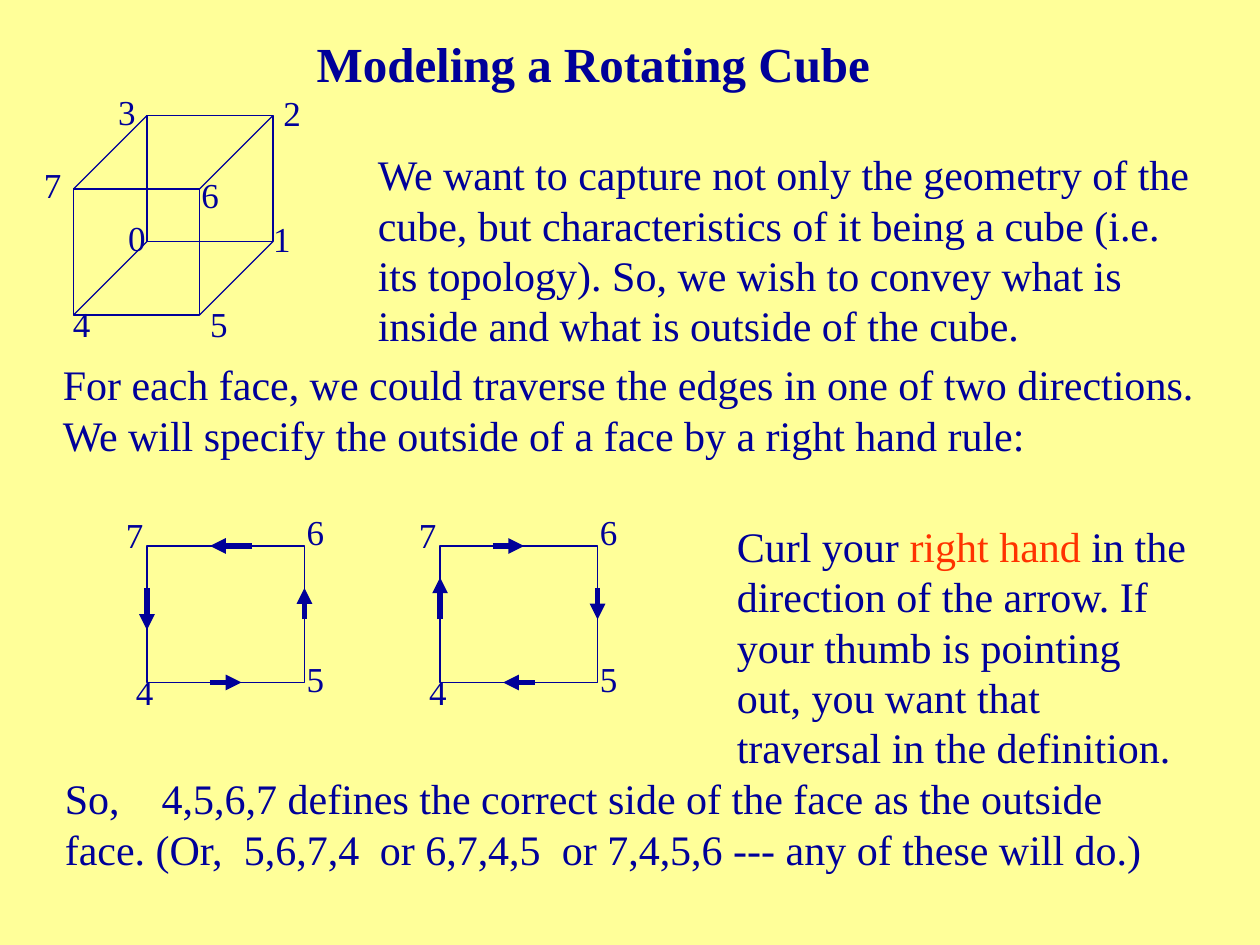
from lxml.etree import SubElement
from pptx import Presentation
from pptx.dml.color import RGBColor
from pptx.enum.shapes import MSO_CONNECTOR as CONN, MSO_SHAPE as SHAPE
from pptx.enum.text import MSO_ANCHOR as ANCHOR, MSO_AUTO_SIZE as AUTO, PP_ALIGN as ALIGN
from pptx.oxml.ns import qn
from pptx.util import Pt

# Content
FONT, NAVY, RED, YELLOW = "Times New Roman", "000099", "FF3300", "FFFF99"
TITLE = "Modeling a Rotating Cube"

# Text blocks: box, tab stops, paragraphs of (text, colour) runs
BLOCKS = [
    ((208.8, 81.4, 487.4, 122.4), [], [[(
        "We want to capture not only the geometry of the cube, but characteristics "
        "of it being a cube (i.e. its topology). So, we wish to convey what is "
        "inside and what is outside of the cube.", NAVY)]]),
    ((28.8, 201.6, 661, 64.8), [], [
        [("For each face, we could traverse the edges in one of two directions.", NAVY)],
        [("We will specify the outside of a face by a right hand rule:", NAVY)]]),
    ((414, 293.8, 275.8, 151.2), [], [[
        ("Curl your ", NAVY), ("right hand ", RED),
        ("in the direction of the arrow. If your thumb is pointing out, "
         "you want that traversal in the definition.", NAVY)]]),
    ((30, 438, 654, 64.8), [55.3, 102.3, 180, 284], [[(
        "So,\t4,5,6,7 defines the correct side of the face as the outside face. "
        "(Or,\t5,6,7,4\tor 6,7,4,5\tor 7,4,5,6 --- any of these will do.)", NAVY)]]),
]

# Cube: back square, shift to the front square, label positions
CUBE_X, CUBE_Y, CUBE_SIDE, CUBE_SHIFT = 84, 66, 72, 42
CUBE_LABELS = [("0", 66.2, 120), ("1", 149, 121), ("2", 154.8, 49), ("3", 60.5, 48.2),
               ("4", 34.6, 169.2), ("5", 113, 169.2), ("6", 108, 95.8), ("7", 18, 90)]

# Faces: labels and arrows are relative to the top left corner of each face
FACE_Y, FACE_W, FACE_H = 312, 90, 78
FACE_LABELS = [("6", 84.2, -24), ("7", -19.2, -22.3), ("4", -13.4, 67.5), ("5", 84.2, 60.3)]
FACES = [
    (84, [(60, 0, 36, 0), (0, 24, 0, 48), (36, FACE_H, 54, FACE_H), (FACE_W, 42, FACE_W, 24)]),
    (251.5, [(0, 42, 0, 18), (30, 0, 48, 0), (FACE_W, 24, FACE_W, 42), (54, FACE_H, 36, FACE_H)]),
]


# Helpers
def rgb(code):
    return RGBColor.from_string(code)


def add_run(p, text, size, color=NAVY, bold=False):
    r = p.add_run()
    r.text = text
    r.font.name, r.font.size, r.font.bold = FONT, Pt(size), bold
    r.font.color.rgb = rgb(color)


def add_label(shapes, text, x, y):
    tf = shapes.add_textbox(Pt(x), Pt(y), Pt(24.5), Pt(31.7)).text_frame
    tf.word_wrap, tf.auto_size = False, AUTO.SHAPE_TO_FIT_TEXT
    add_run(tf.paragraphs[0], text, 20)


def add_square(shapes, x, y, w, h):
    sp = shapes.add_shape(SHAPE.RECTANGLE, Pt(x), Pt(y), Pt(w), Pt(h))
    sp.shadow.inherit = False
    sp.fill.background()
    sp.line.color.rgb, sp.line.width = rgb(NAVY), Pt(0.75)


def add_line(shapes, x1, y1, x2, y2, width=0.75, arrow=False):
    line = shapes.add_connector(CONN.STRAIGHT, Pt(x1), Pt(y1), Pt(x2), Pt(y2))
    line.line.color.rgb, line.line.width = rgb(NAVY), Pt(width)
    if arrow:
        SubElement(line.line._get_or_add_ln(), qn("a:tailEnd"), type="triangle")
    SubElement(line._element.spPr, qn("a:effectLst"))


def add_block(shapes, box, tabs, paragraphs):
    tf = shapes.add_textbox(*map(Pt, box)).text_frame
    tf.word_wrap, tf.auto_size = True, AUTO.SHAPE_TO_FIT_TEXT
    for i, runs in enumerate(paragraphs):
        p = tf.add_paragraph() if i else tf.paragraphs[0]
        if tabs:
            tab_list = SubElement(p._p.get_or_add_pPr(), qn("a:tabLst"))
            for pos in tabs:
                SubElement(tab_list, qn("a:tab"), pos=str(int(Pt(pos))), algn="l")
        for text, color in runs:
            add_run(p, text, 24, color)


def add_cube(shapes):
    front_x, front_y = CUBE_X - CUBE_SHIFT, CUBE_Y + CUBE_SHIFT
    for x, y in [(CUBE_X, CUBE_Y), (front_x, front_y)]:
        add_square(shapes, x, y, CUBE_SIDE, CUBE_SIDE)
    for dx in (0, CUBE_SIDE):
        for dy in (0, CUBE_SIDE):
            add_line(shapes, front_x + dx, front_y + dy, CUBE_X + dx, CUBE_Y + dy)
    for label in CUBE_LABELS:
        add_label(shapes, *label)


def add_face(shapes, x, arrows):
    add_square(shapes, x, FACE_Y, FACE_W, FACE_H)
    for text, dx, dy in FACE_LABELS:
        add_label(shapes, text, x + dx, FACE_Y + dy)
    for x1, y1, x2, y2 in arrows:
        add_line(shapes, x + x1, FACE_Y + y1, x + x2, FACE_Y + y2, 3, arrow=True)


def main():
    prs = Presentation()
    prs.slide_width, prs.slide_height = Pt(720), Pt(540)
    s = prs.slides.add_slide(prs.slide_layouts[5])
    s.background.fill.solid()
    s.background.fill.fore_color.rgb = rgb(YELLOW)

    # Title
    title = s.shapes.title
    title.left, title.top, title.width, title.height = map(Pt, (138, 12, 402, 48))
    tf = title.text_frame
    tf.vertical_anchor = ANCHOR.MIDDLE
    tf.paragraphs[0].alignment = ALIGN.CENTER
    add_run(tf.paragraphs[0], TITLE, 28, bold=True)

    # Drawings
    add_cube(s.shapes.add_group_shape().shapes)
    faces = s.shapes.add_group_shape().shapes
    for x, arrows in FACES:
        add_face(faces, x, arrows)

    # Text
    for block in BLOCKS:
        add_block(s.shapes, *block)
    prs.save("out.pptx")


if __name__ == "__main__":
    main()
